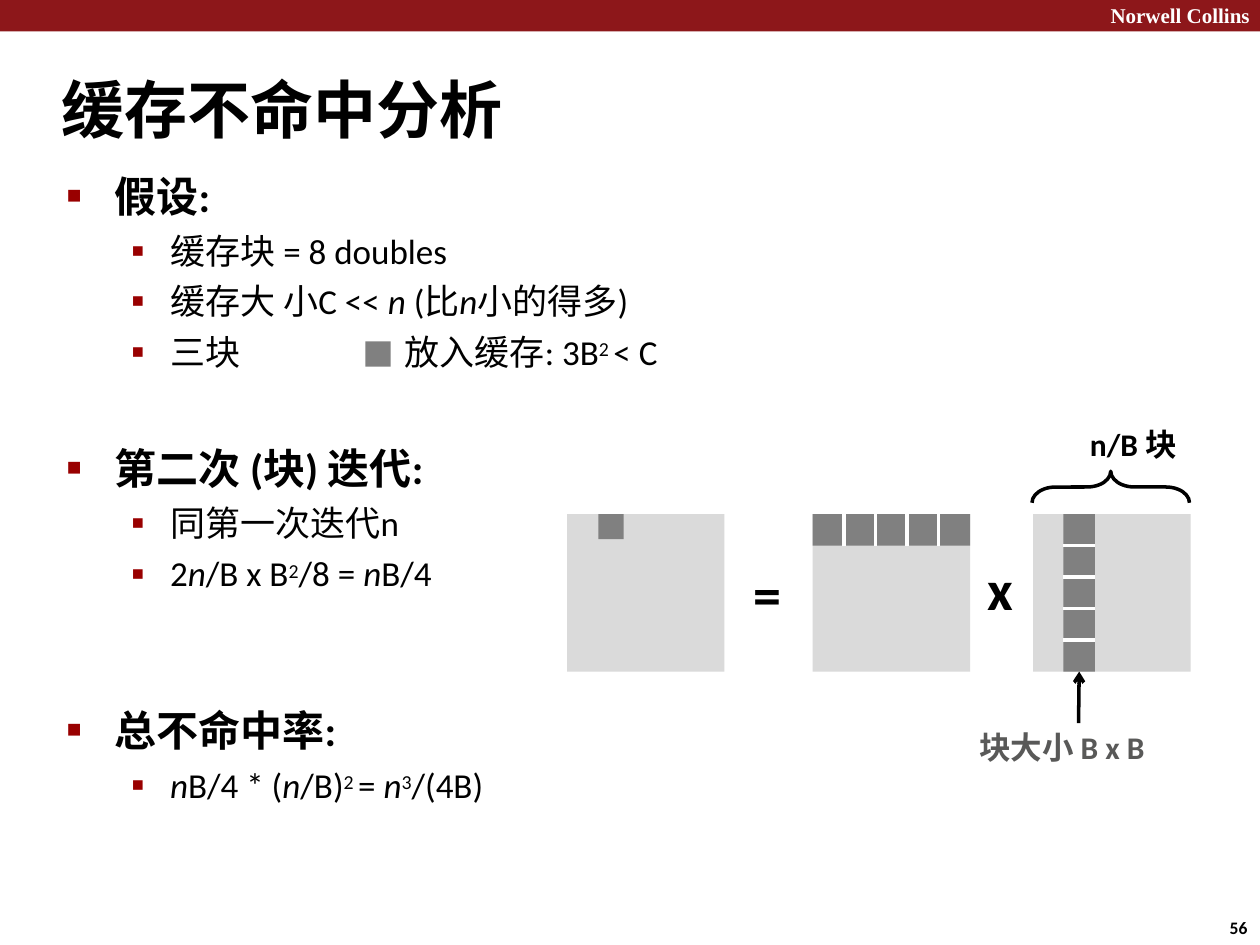
"""Build the slide on cache misses in blocked matrix multiplication."""
import pptx
import pptx.util
import pptx.dml.color
import pptx.enum.shapes
import pptx.enum.text
import pptx.oxml.ns
from lxml import etree
from pptx.util import Inches, Pt

COLORS = {
    "banner": "8D171A", "bullet": "990000", "matrix": "DADADA", "block": "808080",
    "caption": "595958", "ink": "000000", "paper": "FFFFFF",
}
SHAPES = pptx.enum.shapes.MSO_SHAPE
qn = pptx.oxml.ns.qn

deck = pptx.Presentation()
deck.slide_width, deck.slide_height = Inches(10), Inches(7.5)
slide = deck.slides.add_slide(deck.slide_layouts[6])


def rgb(name):
    return pptx.dml.color.RGBColor.from_string(COLORS[name])


def add_text(box, paragraphs, bold=False, color="ink", font="Calibri"):
    """Each paragraph is (size, bullet, indent, space before, runs)."""
    frame = slide.shapes.add_textbox(*map(Inches, box)).text_frame
    frame.word_wrap = True
    frame.margin_left = frame.margin_right = frame.margin_top = frame.margin_bottom = 0
    for number, (size, bullet, indent, before, runs) in enumerate(paragraphs):
        line = frame.add_paragraph() if number else frame.paragraphs[0]
        line.space_before = Pt(before)
        if bullet:
            props = line._p.get_or_add_pPr()
            props.set("marL", str(Inches(indent)))
            props.set("indent", str(Inches(-0.38 if bullet == "■" else -0.31)))
            bullet_color = etree.SubElement(props, qn("a:buClr"))
            etree.SubElement(bullet_color, qn("a:srgbClr"), val=COLORS["bullet"])
            etree.SubElement(props, qn("a:buSzPct"), val="58000" if bullet == "■" else "110000")
            etree.SubElement(props, qn("a:buFont"), typeface="Arial")
            etree.SubElement(props, qn("a:buChar"), char=bullet)
            if any("\t" in text for text, _ in runs):
                tabs = etree.SubElement(props, qn("a:tabLst"))
                etree.SubElement(tabs, qn("a:tab"), pos=str(Inches(2.69)), algn="l")
        for text, style in runs:
            run = line.add_run()
            run.text = text
            run.font.size = Pt(19.5 if style == "super" else size)
            run.font.name = font
            run.font.bold = bold or bullet == "■"
            run.font.italic = style == "italic"
            run.font.color.rgb = rgb(color)
            run_props = run._r.get_or_add_rPr()
            etree.SubElement(run_props, qn("a:ea"), typeface=font)
            if style == "super":
                run_props.set("baseline", "26000")
    return frame


def add_block(left, top, width, height, color):
    block = slide.shapes.add_shape(SHAPES.RECTANGLE, *map(Inches, (left, top, width, height)))
    block.shadow.inherit = False
    block.fill.solid()
    block.fill.fore_color.rgb = rgb(color)
    block.line.fill.background()
    return block


add_block(0, 0, 10, 0.25, "banner")
banner = add_text((8.72, 0.02, 1.2, 0.22), [(12, "", 0, 0, [("Norwell Collins", "")])],
                  True, "paper", "Times New Roman")
banner.paragraphs[0].alignment = pptx.enum.text.PP_ALIGN.RIGHT

labels = [
    ((0.49, 0.56, 4.16, 0.6), 36, "缓存不命中分析", "ink"),
    ((7.84, 4.4, 0.23, 0.57), 32, "x", "ink"),
    ((5.98, 4.44, 0.25, 0.57), 32, "=", "ink"),
    ((7.77, 5.78, 1.59, 0.3), 18, "块大小 B x B", "caption"),
    ((8.65, 3.37, 1.12, 0.3), 18, "n/B 块", "ink"),
    ((9.76, 7.28, 0.2, 0.17), 10, "56", "ink"),
]
for box, size, text, color in labels:
    add_text(box, [(size, "", 0, 0, [(text, "")])], True, color)

add_text((0.52, 1.35, 5.31, 1.63), [
    (24, "■", 0.39, 0, [("假设:", "")]),
    (20, "▪", 0.83, 5, [("缓存块 = 8 doubles", "")]),
    (20, "▪", 0.83, 4.8, [("缓存大 小C << ", ""), ("n ", "italic"), ("(比", ""),
                          ("n", "italic"), ("小的得多)", "")]),
    (20, "▪", 0.83, 4.8, [("三块\t放入缓存: 3B", ""), ("2 ", "super"), ("< C", "")]),
])
add_text((0.52, 3.51, 3.8, 0.4), [(24, "■", 0.39, 0, [("第二次 (块) 迭代:", "")])])
add_text((1.02, 3.98, 2.82, 0.78), [
    (20, "▪", 0.33, 0, [("同第一次迭代n", "")]),
    (20, "▪", 0.33, 4.8, [("2", ""), ("n", "italic"), ("/B x B", ""), ("2", "super"),
                          ("/8 = ", ""), ("n", "italic"), ("B/4", "")]),
])
add_text((0.52, 5.59, 2.2, 0.4), [(24, "■", 0.39, 0, [("总不命中率:", "")])])
add_text((1.02, 6.06, 2.88, 0.36), [
    (20, "▪", 0.33, 0, [("n", "italic"), ("B/4 * (", ""), ("n", "italic"), ("/B)", ""),
                        ("2 ", "super"), ("= ", ""), ("n", "italic"), ("3", "super"),
                        ("/(4B)", "")]),
])

side, cell, top = 1.25, 0.25, 4.08
product_left, row_left, column_left = 4.5, 6.45, 8.2
for left in (product_left, row_left, column_left):
    add_block(left, top, side, side, "matrix")
add_block(product_left + cell, top, 0.2, 0.2, "block")
add_block(2.9, 2.71, 0.2, 0.2, "block")
add_block(row_left, top, side, cell, "block")
block_column = add_block(column_left + 0.24, top, cell, side, "block")

strokes = []
for step in range(1, 5):
    offset = step * cell
    strokes.append((row_left + offset, top, row_left + offset, top + cell, "paper"))
    strokes.append((column_left + 0.24, top + offset, column_left + 0.49, top + offset, "paper"))
strokes.append((8.56, 5.74, 8.56, 5.33, "ink"))
for x1, y1, x2, y2, color in strokes:
    stroke = slide.shapes.add_connector(pptx.enum.shapes.MSO_CONNECTOR.STRAIGHT,
                                        *map(Inches, (x1, y1, x2, y2)))
    stroke.line.color.rgb = rgb(color)
    stroke.line.width = Pt(2)
    etree.SubElement(stroke._element.spPr, qn("a:effectLst"))
    if color == "ink":
        stroke.end_connect(block_column, 2)
        etree.SubElement(stroke.line._get_or_add_ln(), qn("a:tailEnd"), type="arrow")

brace = slide.shapes.add_shape(SHAPES.LEFT_BRACE, *map(Inches, (8.69, 3.24, 0.25, side)))
brace.rotation = 90
brace.adjustments[0] = 0.75
brace.shadow.inherit = False
brace.fill.background()
brace.line.color.rgb = rgb("ink")
brace.line.width = Pt(2)

deck.save("out.pptx")
